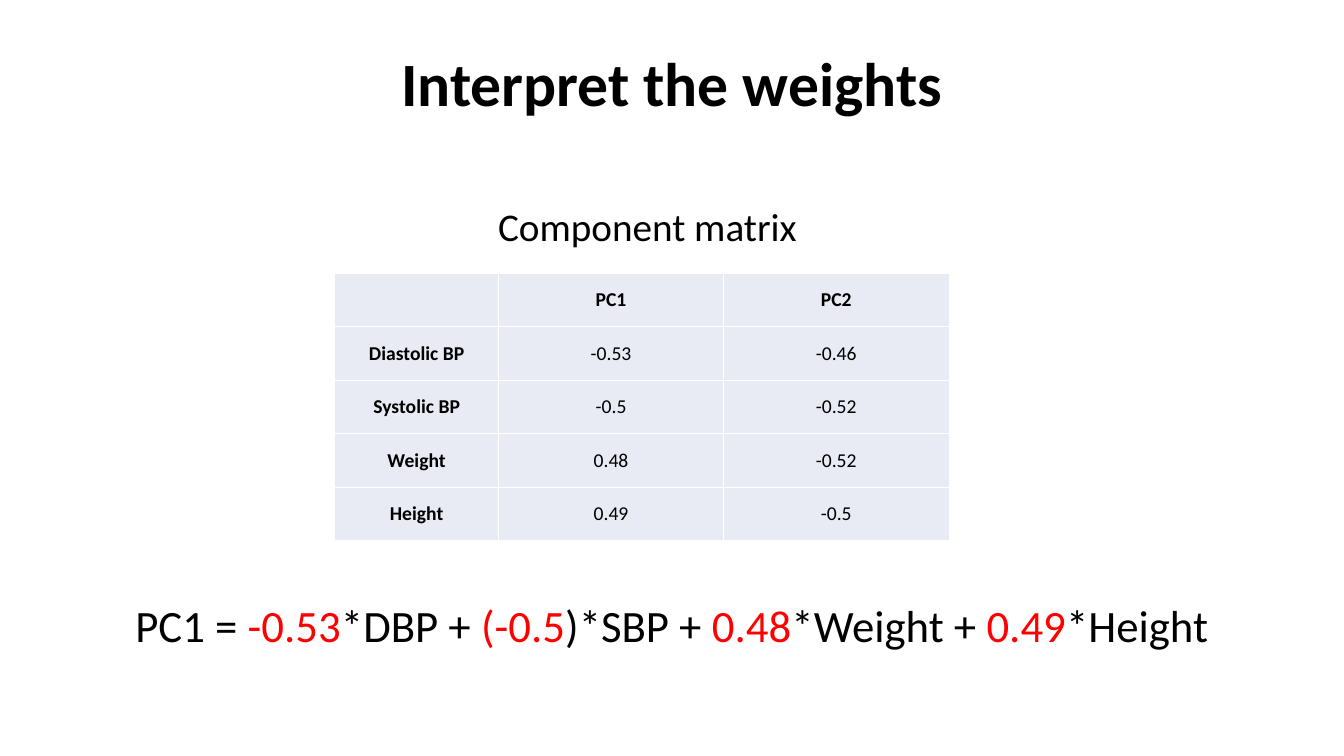
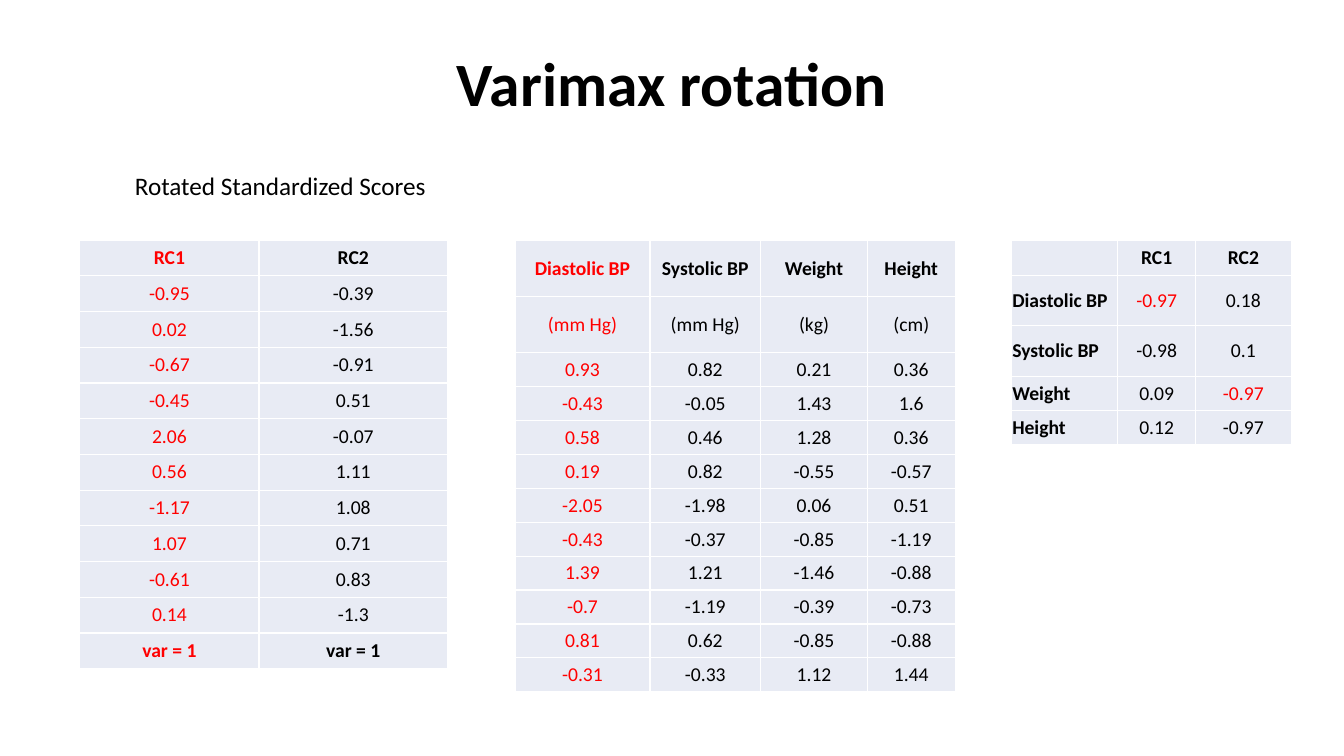
"""Build two slides on principal component weights and varimax rotation."""
from dataclasses import dataclass

from lxml.etree import SubElement
from pptx import Presentation
from pptx.dml.color import RGBColor
from pptx.enum.text import MSO_ANCHOR, MSO_AUTO_SIZE, PP_ALIGN
from pptx.oxml.ns import qn
from pptx.util import Cm, Pt


@dataclass(frozen=True)
class Theme:
    font: str = "Calibri"
    ink: str = "000000"
    accent: str = "FF0000"
    cell: str = "E8EBF4"
    border: str = "FFFFFF"
    border_width: float = 0.96
    title: int = 44
    equation: int = 32
    heading: int = 28
    caption: int = 18
    table: int = 14


THEME = Theme()
SLIDE_SIZE = (33.87, 19.05)
TITLE_AREA = (2.33, 1.01, 29.21, 2.32)
TABLES_TOP = 6.05

COMPONENT_MATRIX = {
    "at": (8.43, 6.88),
    "widths": (4.14, 5.66, 5.69),
    "heights": [1.35] * 5,
    "bold_columns": {0},
    "rows": [
        ("", "PC1", "PC2"),
        ("Diastolic BP", "-0.53", "-0.46"),
        ("Systolic BP", "-0.5", "-0.52"),
        ("Weight", "0.48", "-0.52"),
        ("Height", "0.49", "-0.5"),
    ],
}

ROTATED_SCORES = {
    "at": (2.01, TABLES_TOP),
    "widths": (4.52, 4.75),
    "heights": [0.9] * 12,
    "bold_rows": {0, 11},
    "red": {(row, 0) for row in range(12)},
    "rows": [
        ("RC1", "RC2"),
        ("-0.95", "-0.39"),
        ("0.02", "-1.56"),
        ("-0.67", "-0.91"),
        ("-0.45", "0.51"),
        ("2.06", "-0.07"),
        ("0.56", "1.11"),
        ("-1.17", "1.08"),
        ("1.07", "0.71"),
        ("-0.61", "0.83"),
        ("0.14", "-1.3"),
        ("var = 1", "var = 1"),
    ],
}

STANDARDIZED_DATA = {
    "at": (12.98, TABLES_TOP),
    "widths": (3.4, 2.79, 2.69, 2.21),
    "heights": [1.42] * 2 + [0.85] * 10,
    "red": {(row, 0) for row in range(12)},
    "rows": [
        ("Diastolic BP", "Systolic BP", "Weight", "Height"),
        ("(mm Hg)", "(mm Hg)", "(kg)", "(cm)"),
        ("0.93", "0.82", "0.21", "0.36"),
        ("-0.43", "-0.05", "1.43", "1.6"),
        ("0.58", "0.46", "1.28", "0.36"),
        ("0.19", "0.82", "-0.55", "-0.57"),
        ("-2.05", "-1.98", "0.06", "0.51"),
        ("-0.43", "-0.37", "-0.85", "-1.19"),
        ("1.39", "1.21", "-1.46", "-0.88"),
        ("-0.7", "-1.19", "-0.39", "-0.73"),
        ("0.81", "0.62", "-0.85", "-0.88"),
        ("-0.31", "-0.33", "1.12", "1.44"),
    ],
}

ROTATED_LOADINGS = {
    "at": (25.48, TABLES_TOP),
    "widths": (2.69, 1.96, 2.41),
    "heights": (0.89, 1.27, 1.27, 0.86, 0.86),
    "bold_columns": {0},
    "label_align": PP_ALIGN.LEFT,
    "red": {(1, 1), (3, 2)},
    "rows": [
        ("", "RC1", "RC2"),
        ("Diastolic BP", "-0.97", "0.18"),
        ("Systolic BP", "-0.98", "0.1"),
        ("Weight", "0.09", "-0.97"),
        ("Height", "0.12", "-0.97"),
    ],
}

EQUATION = [
    ("PC1 = ", THEME.ink), ("-0.53", THEME.accent),
    ("*DBP + ", THEME.ink), ("(-0.5", THEME.accent),
    (")*SBP + ", THEME.ink), ("0.48", THEME.accent),
    ("*Weight + ", THEME.ink), ("0.49", THEME.accent),
    ("*Height", THEME.ink),
]

SLIDES = [
    {
        "title": "Interpret the weights",
        "texts": [
            {"spans": [("Component matrix", THEME.ink)], "size": THEME.heading,
             "area": (2.33, 4.98, 27.97, 1.45), "align": PP_ALIGN.CENTER},
            {"spans": EQUATION, "size": THEME.equation,
             "area": (1.83, 14.94, 30.2, 1.63), "align": PP_ALIGN.CENTER},
        ],
        "tables": [COMPONENT_MATRIX],
    },
    {
        "title": "Varimax rotation",
        "texts": [
            {"spans": [("Rotated Standardized Scores", THEME.ink)], "size": THEME.caption,
             "area": (3.15, 4.17, 11.73, 1.02), "align": PP_ALIGN.LEFT},
        ],
        "tables": [ROTATED_SCORES, STANDARDIZED_DATA, ROTATED_LOADINGS],
    },
]


def write(frame, spans, *, size, align, bold=False, line_spacing=None):
    frame.word_wrap = True
    para = frame.paragraphs[0]
    para.alignment = align
    para.line_spacing = line_spacing
    for text, color in spans:
        if not text:
            para._p.get_or_add_endParaRPr().set("sz", str(size * 100))
            continue
        span = para.add_run()
        span.text = text
        span.font.name = THEME.font
        span.font.size = Pt(size)
        span.font.bold = bold
        span.font.color.rgb = RGBColor.from_string(color)


def add_title(page, text):
    title = page.shapes.title
    title.left, title.top, title.width, title.height = map(Cm, TITLE_AREA)
    frame = title.text_frame
    frame.auto_size = MSO_AUTO_SIZE.NONE
    frame.vertical_anchor = MSO_ANCHOR.MIDDLE
    write(frame, [(text, THEME.ink)], size=THEME.title, bold=True,
          align=PP_ALIGN.CENTER, line_spacing=0.9)


def add_text(page, spans, *, area, size, align):
    box = page.shapes.add_textbox(*map(Cm, area))
    write(box.text_frame, spans, size=size, align=align)


def style_cell(cell):
    cell.vertical_anchor = MSO_ANCHOR.MIDDLE
    cell.margin_left = cell.margin_right = Cm(0.03)
    cell.margin_top = cell.margin_bottom = Cm(0.13)
    properties = cell._tc.get_or_add_tcPr()
    for side in ("a:lnL", "a:lnR", "a:lnT", "a:lnB"):
        line = SubElement(properties, qn(side), w=str(Pt(THEME.border_width)))
        fill = SubElement(line, qn("a:solidFill"))
        SubElement(fill, qn("a:srgbClr"), val=THEME.border)
    cell.fill.solid()
    cell.fill.fore_color.rgb = RGBColor.from_string(THEME.cell)


def add_table(page, *, rows, at, widths, heights, bold_rows=frozenset({0}),
              bold_columns=frozenset(), red=frozenset(), label_align=PP_ALIGN.CENTER):
    size = (sum(widths), sum(heights))
    table = page.shapes.add_table(len(rows), len(widths), *map(Cm, at + size)).table
    table.first_row = table.horz_banding = False
    for column, width in zip(table.columns, widths):
        column.width = Cm(width)
    for row, height in zip(table.rows, heights):
        row.height = Cm(height)
    for r, texts in enumerate(rows):
        for c, text in enumerate(texts):
            cell = table.cell(r, c)
            style_cell(cell)
            write(cell.text_frame, [(text, THEME.accent if (r, c) in red else THEME.ink)],
                  size=THEME.table, bold=r in bold_rows or c in bold_columns,
                  align=label_align if c == 0 else PP_ALIGN.CENTER)


def main():
    deck = Presentation()
    deck.slide_width, deck.slide_height = map(Cm, SLIDE_SIZE)
    title_only = deck.slide_layouts.get_by_name("Title Only")
    for content in SLIDES:
        page = deck.slides.add_slide(title_only)
        add_title(page, content["title"])
        for text in content["texts"]:
            add_text(page, **text)
        for table in content["tables"]:
            add_table(page, **table)
    deck.save("out.pptx")


if __name__ == "__main__":
    main()
